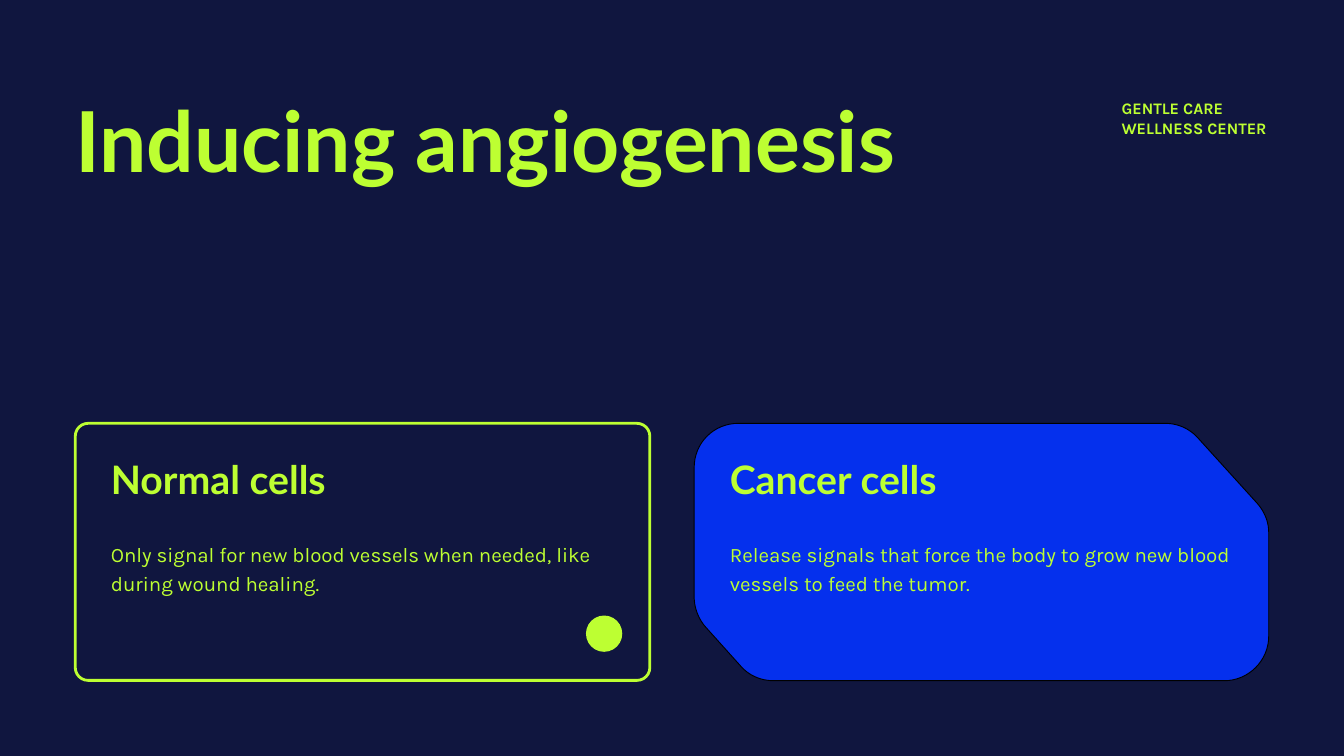
from pptx import Presentation
from pptx.dml.color import RGBColor
from pptx.enum.shapes import MSO_SHAPE
from pptx.enum.text import MSO_ANCHOR, MSO_AUTO_SIZE, PP_ALIGN
from pptx.oxml import parse_xml
from pptx.oxml.ns import nsdecls
from pptx.util import Inches, Pt

ROUND, OVAL = MSO_SHAPE.ROUNDED_RECTANGLE, MSO_SHAPE.OVAL
TOP, LEFT, FIXED = MSO_ANCHOR.TOP, PP_ALIGN.LEFT, MSO_AUTO_SIZE.NONE

# Theme: colours and type styles
THEME = {
    "navy": RGBColor(0x10, 0x16, 0x3F),
    "blue": RGBColor(0x05, 0x30, 0xED),
    "lime": RGBColor(0xBD, 0xFF, 0x32),
    "black": RGBColor(0, 0, 0),
    "title": ({"name": "Lato", "size": Pt(90), "bold": True}, 1.0),
    "head": ({"name": "Lato", "size": Pt(42), "bold": True}, 0.9),
    "body": ({"name": "Karla", "size": Pt(22), "bold": False}, 1.2),
    "brand": ({"name": "Karla", "size": Pt(17.2), "bold": True}, 1.0),
}

# Grid: two equal cards between the side margins
W, H = 20, 11.25
EDGE, GAP, PAD = 1.12, 0.66, 0.53
WIDE = (W - 2 * EDGE - GAP) / 2
COLS = [EDGE, EDGE + WIDE + GAP]
ROW, TALL = 0.56 * H, 0.34 * H

deck = Presentation()
deck.slide_width, deck.slide_height = Inches(W), Inches(H)
slide = deck.slides.add_slide(deck.slide_layouts.get_by_name("Comparison"))
slide.background.fill.solid()
slide.background.fill.fore_color.rgb = THEME["navy"]
shapes = slide.shapes


def write(box, area, lines, style):
    """Place a text box in front and fill it with styled lines."""
    box.left, box.top, box.width, box.height = map(Inches, area)
    shapes._spTree.append(box._element)
    frame = box.text_frame
    frame.text = "\n".join(lines)
    flags = {"word_wrap": True, "auto_size": FIXED, "vertical_anchor": TOP,
             "margin_left": 0, "margin_top": 0,
             "margin_right": 0, "margin_bottom": 0}
    for key, val in flags.items():
        setattr(frame, key, val)
    look, pitch = THEME[style]
    for para in frame.paragraphs:
        props = para._p.get_or_add_pPr()
        props.set("marL", "0")
        props.set("indent", "0")
        props.append(parse_xml(f"<a:buNone {nsdecls('a')}/>"))
        para.alignment, para.line_spacing = LEFT, pitch
        para.space_before = para.space_after = Pt(0)
        for key, val in look.items():
            setattr(para.font, key, val)
        para.font.color.rgb = THEME["lime"]


def paint(shape, fill, line=None, width=1):
    """Set a flat fill and outline; None leaves a part empty."""
    shape.shadow.inherit = False
    for part, tint in ((shape.fill, fill), (shape.line.fill, line)):
        if tint:
            part.solid()
            part.fore_color.rgb = THEME[tint]
        else:
            part.background()
    if line:
        shape.line.width = Pt(width)


# Blue card: curved corners, as offsets from the card's top left
BENDS = [
    [(0.66, 0), (0.29, 0), (0, 0.29), (0, 0.66)],
    [(0, 2.58), (0, 2.74), (0.06, 2.9), (0.16, 3.02)],
    [(0.69, 3.61), (0.81, 3.75), (0.99, 3.83), (1.18, 3.83)],
    [(7.89, 3.83), (8.25, 3.83), (8.55, 3.53), (8.55, 3.17)],
    [(8.55, 1.62), (8.55, 1.46), (8.48, 1.3), (8.37, 1.18)],
    [(7.49, 0.21), (7.36, 0.07), (7.19, 0), (7, 0)],
]
STEPS = 16
dots = []
for bend in BENDS:
    for step in range(STEPS + 1):
        t = step / STEPS
        mix = ((1 - t) ** 3, 3 * t * (1 - t) ** 2, 3 * t * t * (1 - t), t ** 3)
        x, y = (sum(m * p[axis] for m, p in zip(mix, bend)) for axis in (0, 1))
        dots.append((Inches(COLS[1] + x), Inches(ROW + y)))
path = shapes.build_freeform(*dots[0])
path.add_line_segments(dots[1:], close=True)
paint(path.convert_to_shape(), "blue", "black")

# Outlined card with its dot
card = shapes.add_shape(ROUND, *map(Inches, (COLS[0], ROW, WIDE, TALL)))
card.adjustments[0] = 0.05
paint(card, None, "lime", 3)
dot = shapes.add_shape(OVAL, *map(Inches, (8.72, 9.16, 0.54, 0.54)))
paint(dot, "lime")

# Title and brand
write(shapes.title, (EDGE, 1.32, 12.87, 3.03), ["Inducing angiogenesis"], "title")
brand = shapes.add_textbox(0, 0, 0, 0)
write(brand, (16.69, 1.47, 2.25, 0.5), ["GENTLE CARE", "WELLNESS CENTER"], "brand")

# Card texts in the layout's paired placeholders
CARDS = [
    ("Normal cells", "Only signal for new blood vessels when needed, "
     "like during wound healing."),
    ("Cancer cells", "Release signals that force the body to grow "
     "new blood vessels to feed the tumor."),
]
slots = [s for s in slide.placeholders if s.placeholder_format.idx > 0]
for i, (head, body) in enumerate(CARDS):
    x = COLS[i] + PAD
    write(slots[2 * i], (x, 6.85, 5.45, 0.64), [head], "head")
    write(slots[2 * i + 1], (x, 7.99, 7.51, 0.81), [body], "body")

deck.save("out.pptx")
